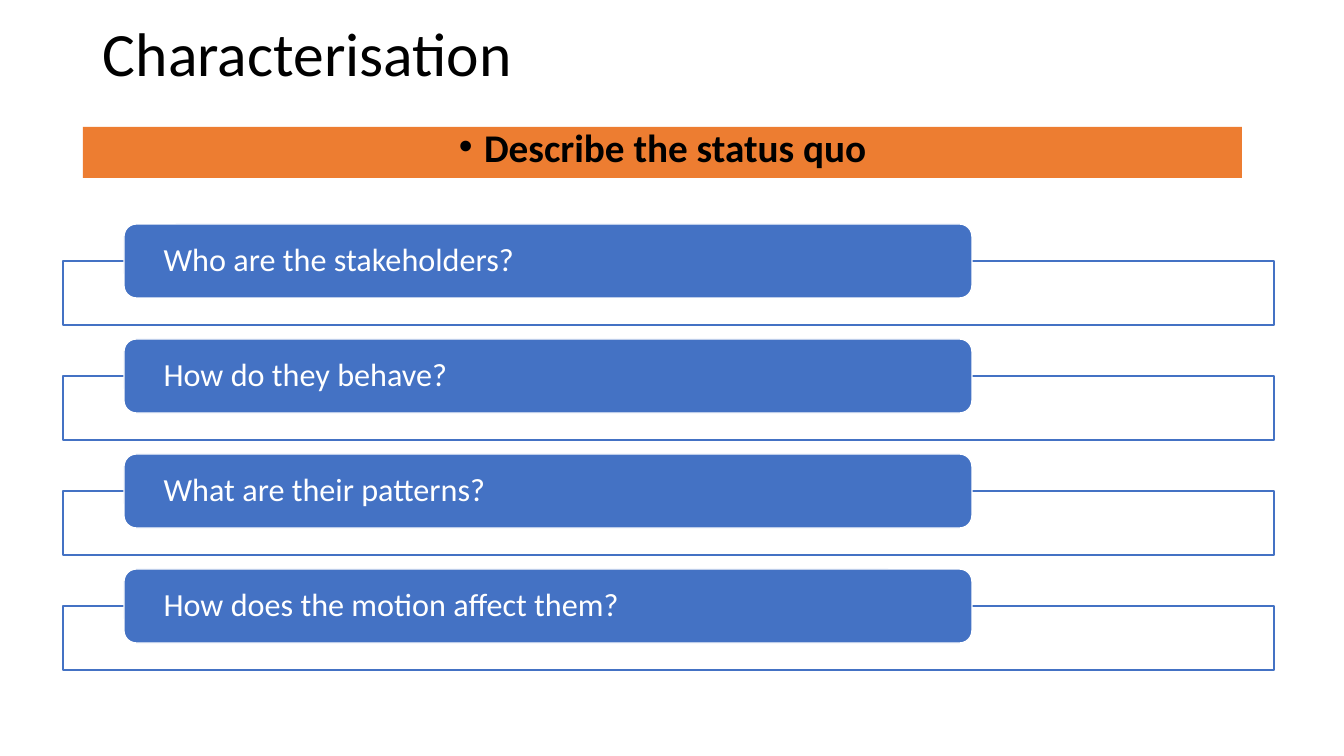
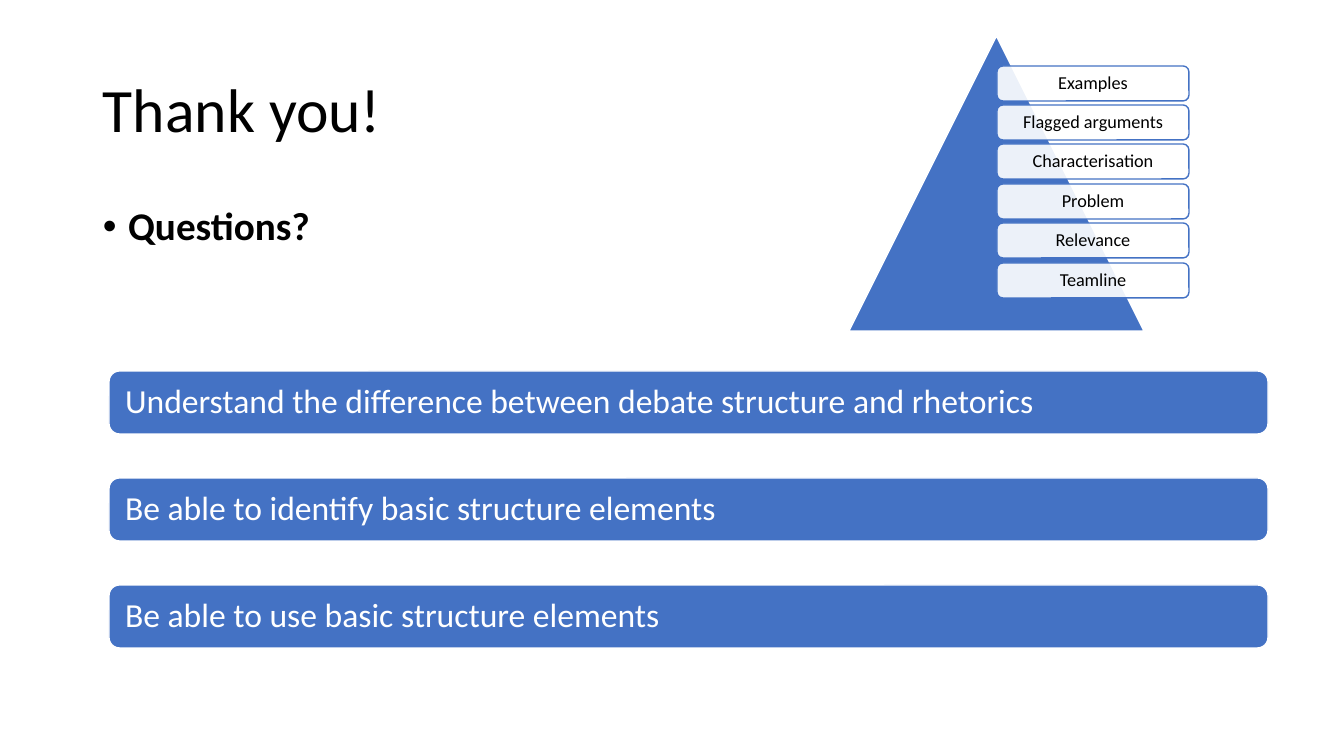
from dataclasses import dataclass

from lxml.etree import SubElement
from pptx import Presentation
from pptx.dml.color import RGBColor as RGB
from pptx.enum.shapes import MSO_SHAPE as Kind
from pptx.enum.text import MSO_ANCHOR as Anchor, PP_ALIGN as Align
from pptx.oxml.ns import qn
from pptx.util import Emu, Pt


@dataclass(frozen=True)
class Theme:
    font: str = "Calibri"
    black: RGB = RGB(0, 0, 0)
    white: RGB = RGB(255, 255, 255)
    blue: RGB = RGB(0x44, 0x72, 0xC4)
    orange: RGB = RGB(0xED, 0x7D, 0x31)
    title: int = 44
    body: int = 28
    goal: int = 24
    ask: int = 23
    chip: int = 13
    rule: int = 1


look = Theme()
SCALE = 914400 / 100.8


def draw(slide, kind, area, fill, line=None, alpha=None):
    shape = slide.shapes.add_shape(kind, *[Emu(round(n * SCALE)) for n in area])
    shape.shadow.inherit = False
    shape.fill.solid()
    shape.fill.fore_color.rgb = fill
    if line is None:
        shape.line.fill.background()
    else:
        shape.line.color.rgb = line
        shape.line.width = Pt(look.rule)
    if alpha:
        tone = shape.element.spPr.find(qn("a:solidFill"))[0]
        SubElement(tone, qn("a:alpha"), val=str(alpha * 1000))
    return shape


def write(shape, text, size, color, align=Align.LEFT, anchor=Anchor.MIDDLE,
          inset=(10, 5), space=0.9, bullet=False):
    frame = shape.text_frame
    frame.text = text
    frame.word_wrap = True
    frame.vertical_anchor = anchor
    side, edge = [Emu(round(n * SCALE)) for n in inset]
    frame.margin_left = frame.margin_right = side
    frame.margin_top = frame.margin_bottom = edge
    para = frame.paragraphs[0]
    para.alignment = align
    para.line_spacing = space
    font = para.runs[0].font
    font.name = look.font
    font.size = Pt(size)
    font.color.rgb = color
    font.bold = bullet
    if bullet:
        para.space_before = Pt(10)
        props = para._p.get_or_add_pPr()
        props.set("marL", "228600")
        props.set("indent", "-228600")
        SubElement(props, qn("a:buFont"), typeface="Arial")
        SubElement(props, qn("a:buChar"), char="•")


deck = Presentation()
deck.slide_width = Emu(round(1344 * SCALE))
deck.slide_height = Emu(round(756 * SCALE))

pages = []
for text, top, high in [("Characterisation", 0, 113), ("Thank you!", 40, 146)]:
    page = deck.slides.add_slide(deck.slide_layouts[6])
    area = [Emu(round(n * SCALE)) for n in (93, top, 1159, high)]
    write(page.shapes.add_textbox(*area), text, look.title, look.black)
    pages.append(page)
first, last = pages

asks = [
    "Who are the stakeholders?",
    "How do they behave?",
    "What are their patterns?",
    "How does the motion affect them?",
]
for i, text in enumerate(asks):
    top = 224 + 115 * i
    draw(first, Kind.RECTANGLE, (63, top + 37, 1211, 64),
         look.white, look.blue, alpha=90)
    pill = draw(first, Kind.ROUNDED_RECTANGLE, (124, top, 848, 74),
                look.blue, look.white)
    write(pill, text, look.ask, look.white, inset=(36, 0))

band = draw(first, Kind.RECTANGLE, (83, 127, 1159, 51), look.orange)
write(band, "Describe the status quo", look.body, look.black,
      align=Align.CENTER, anchor=Anchor.TOP, space=0.8, bullet=True)

area = [Emu(round(n * SCALE)) for n in (93, 202, 1159, 480)]
write(last.shapes.add_textbox(*area), "Questions?", look.body, look.black,
      anchor=Anchor.TOP, bullet=True)

draw(last, Kind.ISOSCELES_TRIANGLE, (849, 36, 295, 295), look.blue, look.white)
chips = [
    "Examples",
    "Flagged arguments",
    "Characterisation",
    "Problem",
    "Relevance",
    "Teamline",
]
for i, text in enumerate(chips):
    chip = draw(last, Kind.ROUNDED_RECTANGLE, (997, 66 + 197 * i // 5, 192, 35),
                look.white, look.blue, alpha=90)
    write(chip, text, look.chip, look.black, align=Align.CENTER, inset=(7, 7))

goals = [
    "Understand the difference between debate structure and rhetorics",
    "Be able to identify basic structure elements",
    "Be able to use basic structure elements",
]
for i, text in enumerate(goals):
    goal = draw(last, Kind.ROUNDED_RECTANGLE, (109, 371 + 107 * i, 1159, 63),
                look.blue, look.white)
    write(goal, text, look.goal, look.white, inset=(13, 13))

deck.save("out.pptx")
